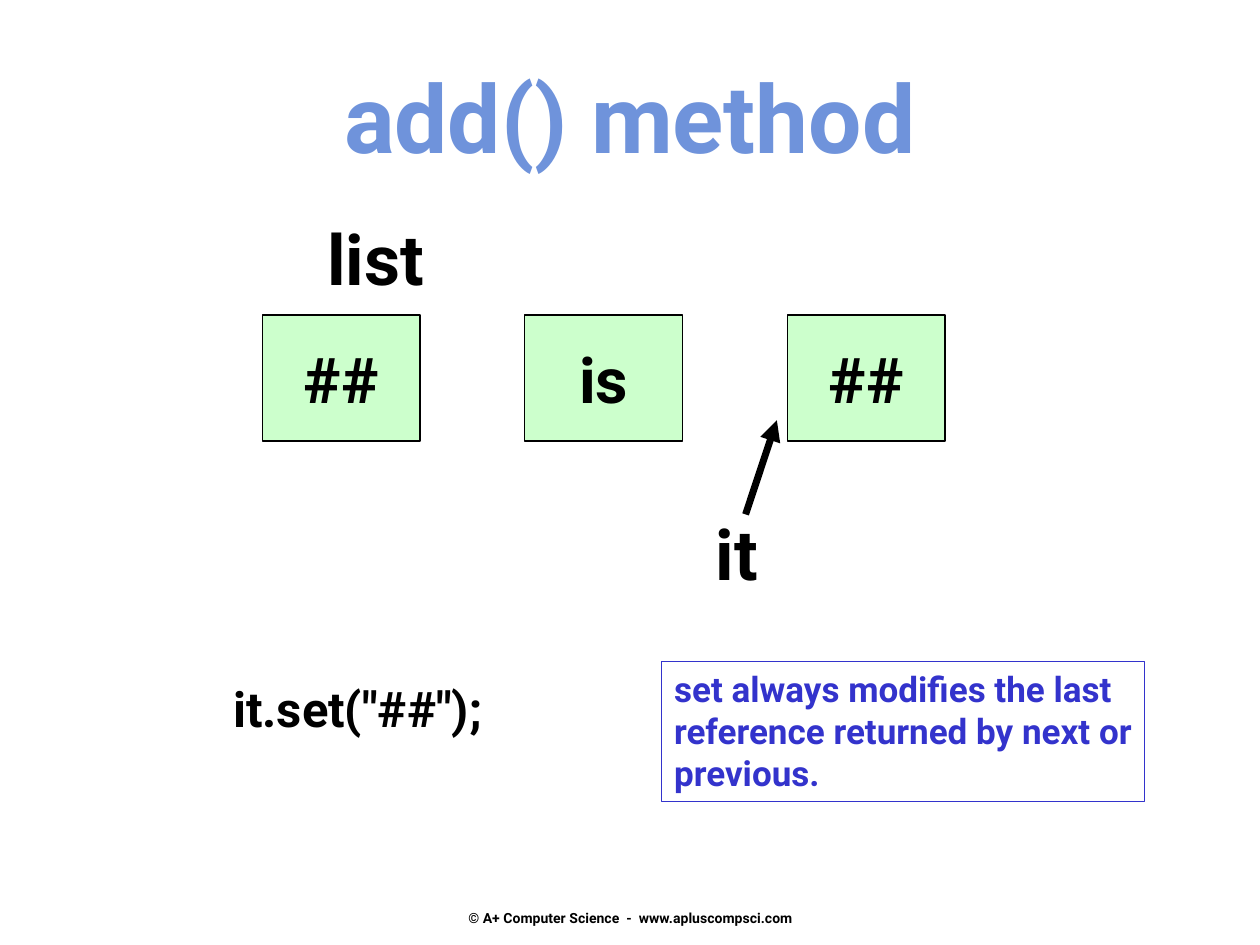
from dataclasses import dataclass

from lxml import etree
from pptx import Presentation
from pptx import util as u
from pptx.dml.color import RGBColor
from pptx.enum import shapes, text
from pptx.oxml import ns


@dataclass(frozen=True)
class Theme:
    font: str = "Roboto"
    ink: str = "000000"
    title: str = "6F93DB"
    note: str = "3333CC"
    node: str = "CCFFCC"
    title_size: int = 54
    label_size: int = 40
    node_size: int = 36
    code_size: int = 28
    note_size: int = 20
    footer_size: int = 8
    outline: float = 0.75
    arrow: float = 4


THEME = Theme()
LEFT, CENTER = text.PP_ALIGN.LEFT, text.PP_ALIGN.CENTER
TOP, MIDDLE = text.MSO_ANCHOR.TOP, text.MSO_ANCHOR.MIDDLE

# Content; places are left, top, width, height in cm
NODES = ["##", "is", "##"]
NODE_LEFT, NODE_TOP, NODE_WIDTH, NODE_HEIGHT = 5.29, 6.35, 3.18, 2.54
NODE_PITCH = 5.29

# wording, place, size, colour, alignment, anchor, wrap
TEXTS = [
    ("add() method", (0, 1.06, 25.4, 2.57), THEME.title_size, THEME.title, CENTER, TOP, True),
    ("list", (6.35, 4.23, 2.69, 1.96), THEME.label_size, THEME.ink, LEFT, TOP, False),
    ("it", (14.18, 10.16, 1.52, 1.96), THEME.label_size, THEME.ink, LEFT, TOP, False),
    ('it.set("##");', (4.45, 13.55, 20.11, 2.61), THEME.code_size, THEME.ink, LEFT, TOP, True),
    ("© A+ Computer Science  -  www.apluscompsci.com", (8.69, 18.1, 8.05, 0.8),
     THEME.footer_size, THEME.ink, CENTER, MIDDLE, False),
]
NOTE = "set always modifies the last reference returned by next or previous."
NOTE_PLACE = (13.34, 13.34, 9.74, 2.82)
ARROW = (15.03, 10.37, 15.66, 8.47)


def lengths(values):
    return [u.Cm(value) for value in values]


def write(shape, words, size, color, align, anchor, wrap):
    frame = shape.text_frame
    frame.word_wrap = wrap
    frame.vertical_anchor = anchor
    paragraph = frame.paragraphs[0]
    paragraph.alignment = align
    run = paragraph.add_run()
    run.text = words
    run.font.name = THEME.font
    run.font.size = u.Pt(size)
    run.font.bold = True
    run.font.color.rgb = RGBColor.from_string(color)


def add_box(slide, place, line, fill=None):
    shape = slide.shapes.add_shape(shapes.MSO_SHAPE.RECTANGLE, *lengths(place))
    shape.shadow.inherit = False
    if fill:
        shape.fill.solid()
        shape.fill.fore_color.rgb = RGBColor.from_string(fill)
    else:
        shape.fill.background()
    shape.line.color.rgb = RGBColor.from_string(line)
    shape.line.width = u.Pt(THEME.outline)
    return shape


def add_arrow(slide, ends):
    connector = slide.shapes.add_connector(shapes.MSO_CONNECTOR.STRAIGHT, *lengths(ends))
    connector.line.color.rgb = RGBColor.from_string(THEME.ink)
    connector.line.width = u.Pt(THEME.arrow)
    properties = connector.line._get_or_add_ln()
    etree.SubElement(properties, ns.qn("a:tailEnd"), type="triangle")
    etree.SubElement(connector._element.spPr, ns.qn("a:effectLst"))


def main():
    presentation = Presentation()
    presentation.slide_width, presentation.slide_height = lengths((25.4, 19.05))
    slide = presentation.slides.add_slide(presentation.slide_layouts[6])

    # List nodes, evenly spaced
    for index, words in enumerate(NODES):
        place = (NODE_LEFT + index * NODE_PITCH, NODE_TOP, NODE_WIDTH, NODE_HEIGHT)
        node = add_box(slide, place, THEME.ink, THEME.node)
        write(node, words, THEME.node_size, THEME.ink, CENTER, MIDDLE, False)

    # Iterator pointer
    add_arrow(slide, ARROW)

    # Title, labels, code and footer
    for words, place, *style in TEXTS:
        write(slide.shapes.add_textbox(*lengths(place)), words, *style)

    # Framed note
    note = add_box(slide, NOTE_PLACE, THEME.note)
    write(note, NOTE, THEME.note_size, THEME.note, LEFT, TOP, True)

    presentation.save("out.pptx")


if __name__ == "__main__":
    main()
